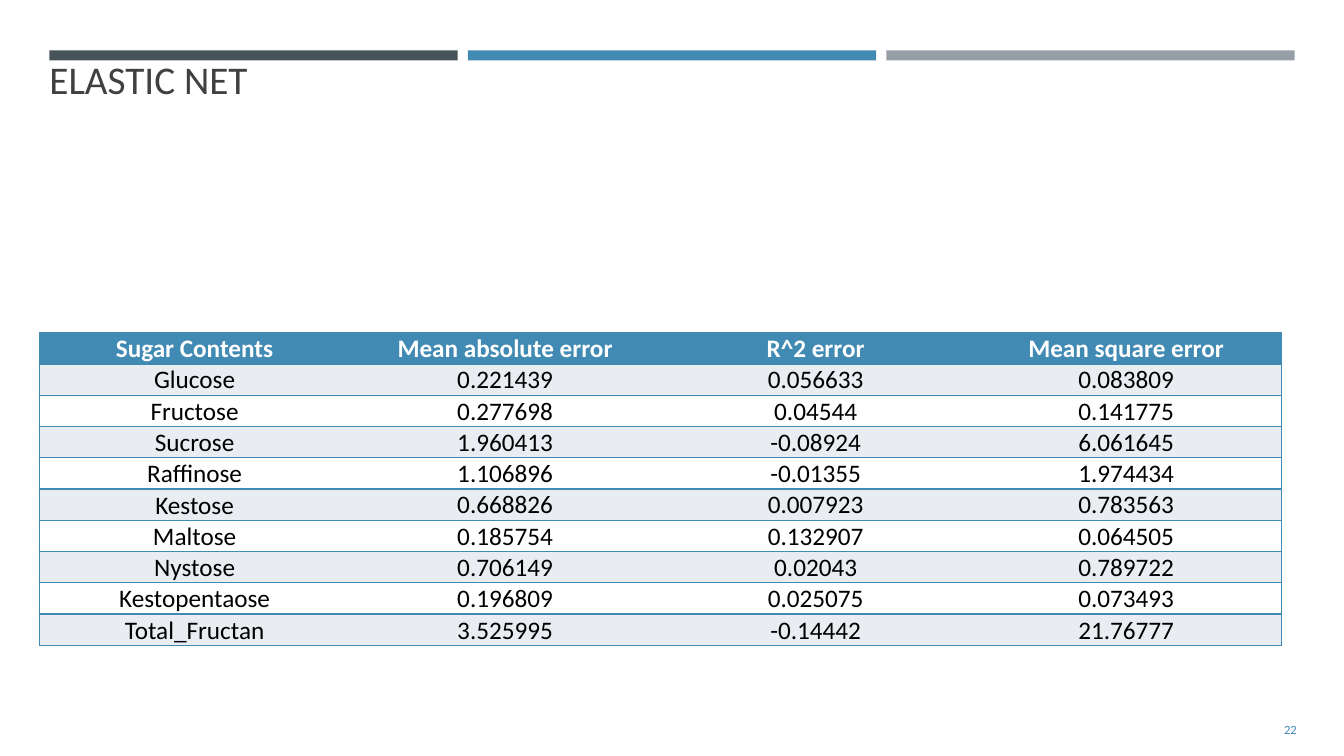
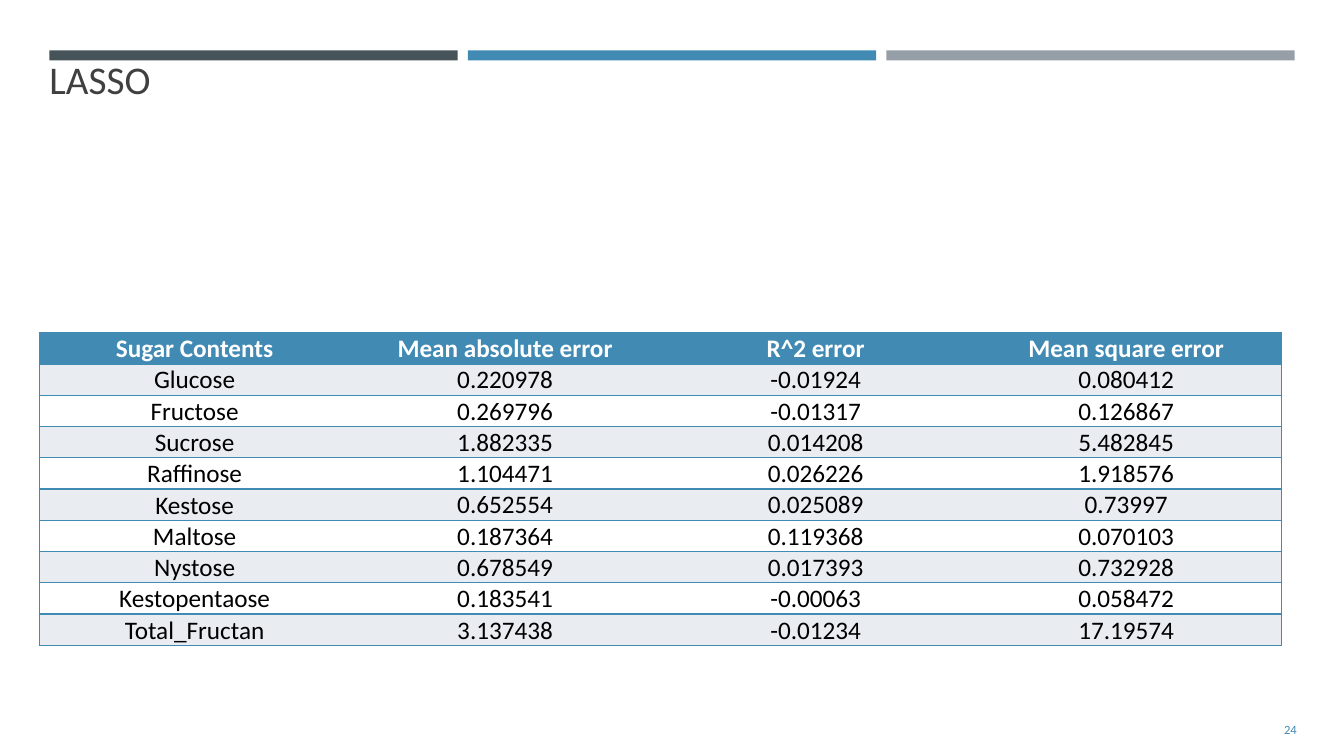
"""Builds two result slides that compare sugar prediction errors by model."""
from dataclasses import dataclass

from lxml import etree
from pptx import Presentation
from pptx import util as u
from pptx.dml.color import RGBColor
from pptx.enum import shapes, text
from pptx.oxml import ns


@dataclass(frozen=True)
class Theme:
    font: str = "Calibri"
    dark: str = "465359"
    accent: str = "418AB3"
    grey: str = "969FA7"
    title: str = "404040"
    body: str = "000000"
    white: str = "FFFFFF"
    stripe: str = "E9EDF2"
    title_size: int = 28
    table_size: int = 18
    number_size: int = 9
    no_table_style: str = "{2D5ABB26-0587-4C30-8999-92F81FD0307C}"


HEADER = ("Sugar Contents", "Mean absolute error", "R^2 error", "Mean square error")
SUGARS = ("Glucose", "Fructose", "Sucrose", "Raffinose", "Kestose",
          "Maltose", "Nystose", "Kestopentaose", "Total_Fructan")
RESULTS = (
    ("ELASTIC NET", 22, (
        ("0.221439", "0.056633", "0.083809"),
        ("0.277698", "0.04544", "0.141775"),
        ("1.960413", "-0.08924", "6.061645"),
        ("1.106896", "-0.01355", "1.974434"),
        ("0.668826", "0.007923", "0.783563"),
        ("0.185754", "0.132907", "0.064505"),
        ("0.706149", "0.02043", "0.789722"),
        ("0.196809", "0.025075", "0.073493"),
        ("3.525995", "-0.14442", "21.76777"),
    )),
    ("LASSO", 24, (
        ("0.220978", "-0.01924", "0.080412"),
        ("0.269796", "-0.01317", "0.126867"),
        ("1.882335", "0.014208", "5.482845"),
        ("1.104471", "0.026226", "1.918576"),
        ("0.652554", "0.025089", "0.73997"),
        ("0.187364", "0.119368", "0.070103"),
        ("0.678549", "0.017393", "0.732928"),
        ("0.183541", "-0.00063", "0.058472"),
        ("3.137438", "-0.01234", "17.19574"),
    )),
)


class Deck:
    def __init__(self, theme):
        self.theme = theme
        self.prs = Presentation()
        self.prs.slide_width = u.Inches(13.33)
        self.prs.slide_height = u.Inches(7.5)
        self.s = None

    def new_slide(self, title, number):
        self.s = self.prs.slides.add_slide(self.prs.slide_layouts[5])
        self.title(title)
        self.bands()
        self.number(number)

    def style(self, p, size, color, align, bold=False):
        p.alignment = align
        p.font.name = self.theme.font
        p.font.size = u.Pt(size)
        p.font.bold = bold
        p.font.color.rgb = RGBColor.from_string(color)

    def title(self, words):
        sp = self.s.shapes.title
        sp.left, sp.top = u.Inches(0.39), u.Inches(0.5)
        sp.width, sp.height = u.Inches(7.67), u.Inches(1.75)
        tf = sp.text_frame
        tf.text = words
        tf.auto_size = text.MSO_AUTO_SIZE.NONE
        tf.vertical_anchor = text.MSO_ANCHOR.TOP
        self.style(tf.paragraphs[0], self.theme.title_size, self.theme.title,
                   text.PP_ALIGN.LEFT)

    def bands(self):
        width, gap = 4.05, 0.1
        for i, color in enumerate((self.theme.dark, self.theme.accent, self.theme.grey)):
            sp = self.s.shapes.add_shape(
                shapes.MSO_SHAPE.RECTANGLE, u.Inches(0.49 + i * (width + gap)),
                u.Inches(0.5), u.Inches(width), u.Inches(0.1))
            sp.shadow.inherit = False
            sp.fill.solid()
            sp.fill.fore_color.rgb = RGBColor.from_string(color)
            sp.line.fill.background()

    def number(self, value):
        sp = self.s.shapes.add_textbox(u.Inches(11.81), u.Inches(7.04),
                                       u.Inches(1.15), u.Inches(0.4))
        tf = sp.text_frame
        tf.word_wrap = True
        tf.vertical_anchor = text.MSO_ANCHOR.MIDDLE
        tf.text = str(value)
        self.style(tf.paragraphs[0], self.theme.number_size, self.theme.accent,
                   text.PP_ALIGN.RIGHT)

    def table(self, rows):
        n_rows, n_cols = len(rows), len(rows[0])
        col_width, row_height = 3.08, 0.31
        table = self.s.shapes.add_table(
            n_rows, n_cols, u.Inches(0.39), u.Inches(3.3),
            u.Inches(col_width * n_cols), u.Inches(row_height * n_rows)).table
        table.horz_banding = False
        style_id = table._tbl.tblPr.find(ns.qn("a:tableStyleId"))
        style_id.text = self.theme.no_table_style
        for column in table.columns:
            column.width = u.Inches(col_width)
        for i, row in enumerate(rows):
            table.rows[i].height = u.Inches(row_height)
            for j, words in enumerate(row):
                sides = ["T", "B"]
                if j == 0:
                    sides.insert(0, "L")
                elif j == n_cols - 1:
                    sides.insert(0, "R")
                self.cell(table.cell(i, j), words, i, j, sides)

    def cell(self, cell, words, row, column, sides):
        theme, header = self.theme, row == 0
        self.borders(cell, sides)
        cell.fill.solid()
        fill = theme.accent if header else theme.stripe if row % 2 else theme.white
        cell.fill.fore_color.rgb = RGBColor.from_string(fill)
        cell.margin_left = cell.margin_right = cell.margin_top = u.Inches(0.01)
        cell.margin_bottom = 0
        middle = header or column == 0
        cell.vertical_anchor = text.MSO_ANCHOR.MIDDLE if middle else text.MSO_ANCHOR.BOTTOM
        cell.text = words
        self.style(cell.text_frame.paragraphs[0], theme.table_size,
                   theme.white if header else theme.body, text.PP_ALIGN.CENTER, header)

    def borders(self, cell, sides):
        tc_pr = cell._tc.get_or_add_tcPr()
        for side in sides:
            ln = etree.SubElement(tc_pr, ns.qn(f"a:ln{side}"), w=str(u.Pt(1)))
            fill = etree.SubElement(ln, ns.qn("a:solidFill"))
            etree.SubElement(fill, ns.qn("a:srgbClr"), val=self.theme.accent)


def main():
    deck = Deck(Theme())
    for title, number, errors in RESULTS:
        deck.new_slide(title, number)
        deck.table([HEADER] + [(sugar, *row) for sugar, row in zip(SUGARS, errors)])
    deck.prs.save("out.pptx")


if __name__ == "__main__":
    main()
